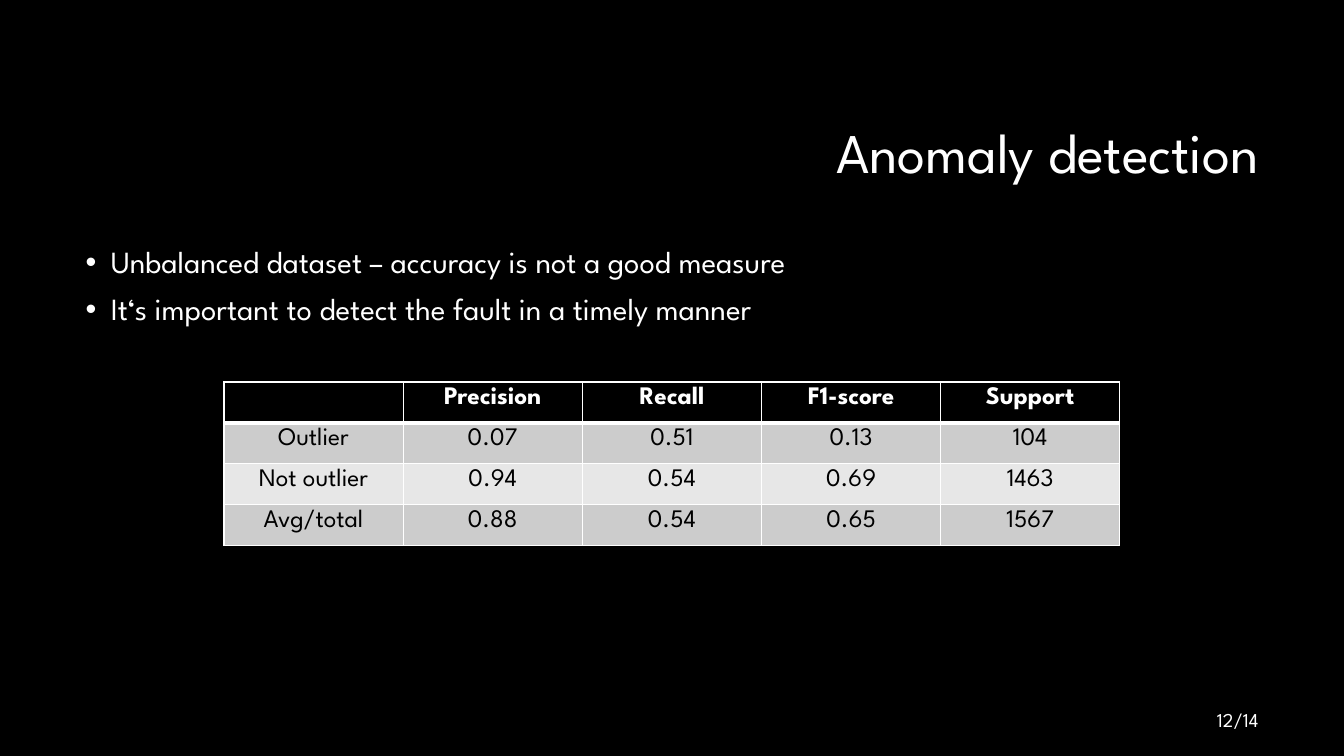
from lxml import etree
from pptx import Presentation
from pptx.dml import color
from pptx.enum import text
from pptx.oxml import ns
from pptx.util import Pt

WHITE, BLACK = "FFFFFF", "000000"


def rgb(value):
    return color.RGBColor.from_string(value)


def style(paragraph, size, value, align, bold=False):
    paragraph.alignment = align
    paragraph.font.name = "League Spartan"
    paragraph.font.size = Pt(size)
    paragraph.font.bold = bold
    paragraph.font.color.rgb = rgb(value)


deck = Presentation()
deck.slide_width, deck.slide_height = Pt(960), Pt(540)
slide = deck.slides.add_slide(deck.slide_layouts[1])
slide.background.fill.solid()
slide.background.fill.fore_color.rgb = rgb(BLACK)

heading, points = slide.placeholders
heading.left, heading.top, heading.width, heading.height = Pt(228), Pt(60.5), Pt(678.5), Pt(101.5)
heading.text_frame.text = "Anomaly detection"
heading.text_frame.auto_size = text.MSO_AUTO_SIZE.NONE
heading.text_frame.vertical_anchor = text.MSO_ANCHOR.MIDDLE
style(heading.text_frame.paragraphs[0], 40, WHITE, text.PP_ALIGN.RIGHT)
heading.text_frame.paragraphs[0].line_spacing = 0.9

points.left, points.top, points.width, points.height = Pt(54), Pt(172.8), Pt(852), Pt(316.8)
points.text_frame.text = (
    "Unbalanced dataset – accuracy is not a good measure\n"
    "It‘s important to detect the fault in a timely manner"
)
points.text_frame.auto_size = text.MSO_AUTO_SIZE.NONE
for point in points.text_frame.paragraphs:
    style(point, 22, WHITE, text.PP_ALIGN.LEFT)
    point.line_spacing = 0.9
    point.space_before = Pt(10)
    indents = point._p.get_or_add_pPr()
    indents.set("marL", str(Pt(18)))
    indents.set("indent", str(-Pt(18)))

scores = [
    ["", "Precision", "Recall", "F1-score", "Support"],
    ["Outlier", "0.07", "0.51", "0.13", "104"],
    ["Not outlier", "0.94", "0.54", "0.69", "1463"],
    ["Avg/total", "0.88", "0.54", "0.65", "1567"],
]
row_fills = [BLACK, "CCCCCC", "E7E7E7", "CCCCCC"]
score_table = slide.shapes.add_table(4, 5, Pt(160), Pt(272.8), Pt(640), Pt(116.8)).table
for r, (row, fill) in enumerate(zip(scores, row_fills)):
    score_table.rows[r].height = Pt(29.2)
    for c, score in enumerate(row):
        cell = score_table.cell(r, c)
        cell.text = score
        style(cell.text_frame.paragraphs[0], 18, BLACK if r else WHITE, text.PP_ALIGN.CENTER, r == 0)
        borders = cell._tc.get_or_add_tcPr()
        for side in "LRTB":
            under_header = (r, side) in [(0, "B"), (1, "T")]
            border = etree.SubElement(borders, ns.qn(f"a:ln{side}"), w=str(Pt(3 if under_header else 1)))
            solid = etree.SubElement(border, ns.qn("a:solidFill"))
            etree.SubElement(solid, ns.qn("a:srgbClr"), val=WHITE)
        cell.fill.solid()
        cell.fill.fore_color.rgb = rgb(fill)

page_number = slide.shapes.add_textbox(Pt(690), Pt(500), Pt(216), Pt(28.8)).text_frame
page_number.word_wrap = True
page_number.vertical_anchor = text.MSO_ANCHOR.MIDDLE
page_number.text = "12/14"
style(page_number.paragraphs[0], 14, WHITE, text.PP_ALIGN.RIGHT)

deck.save("out.pptx")
